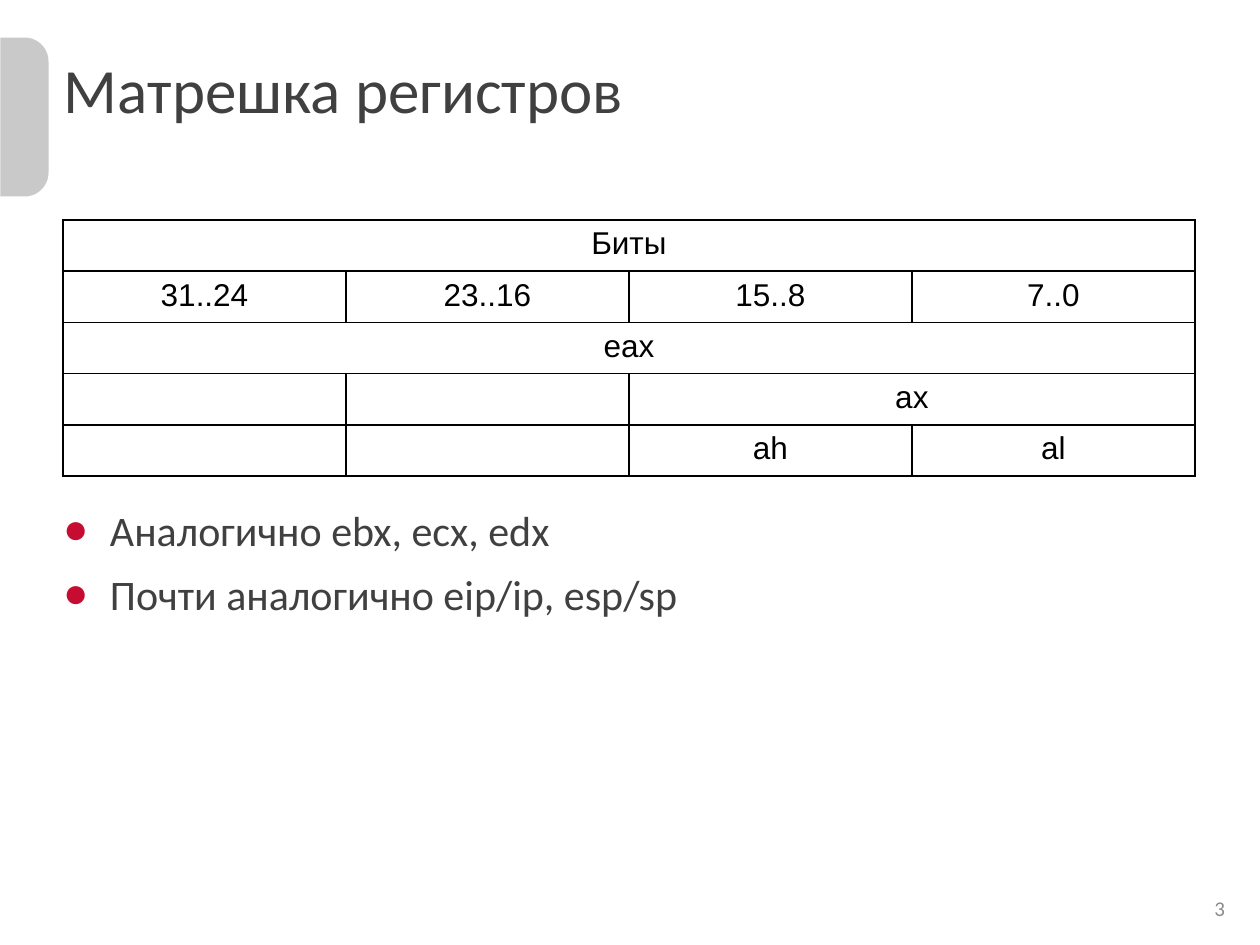
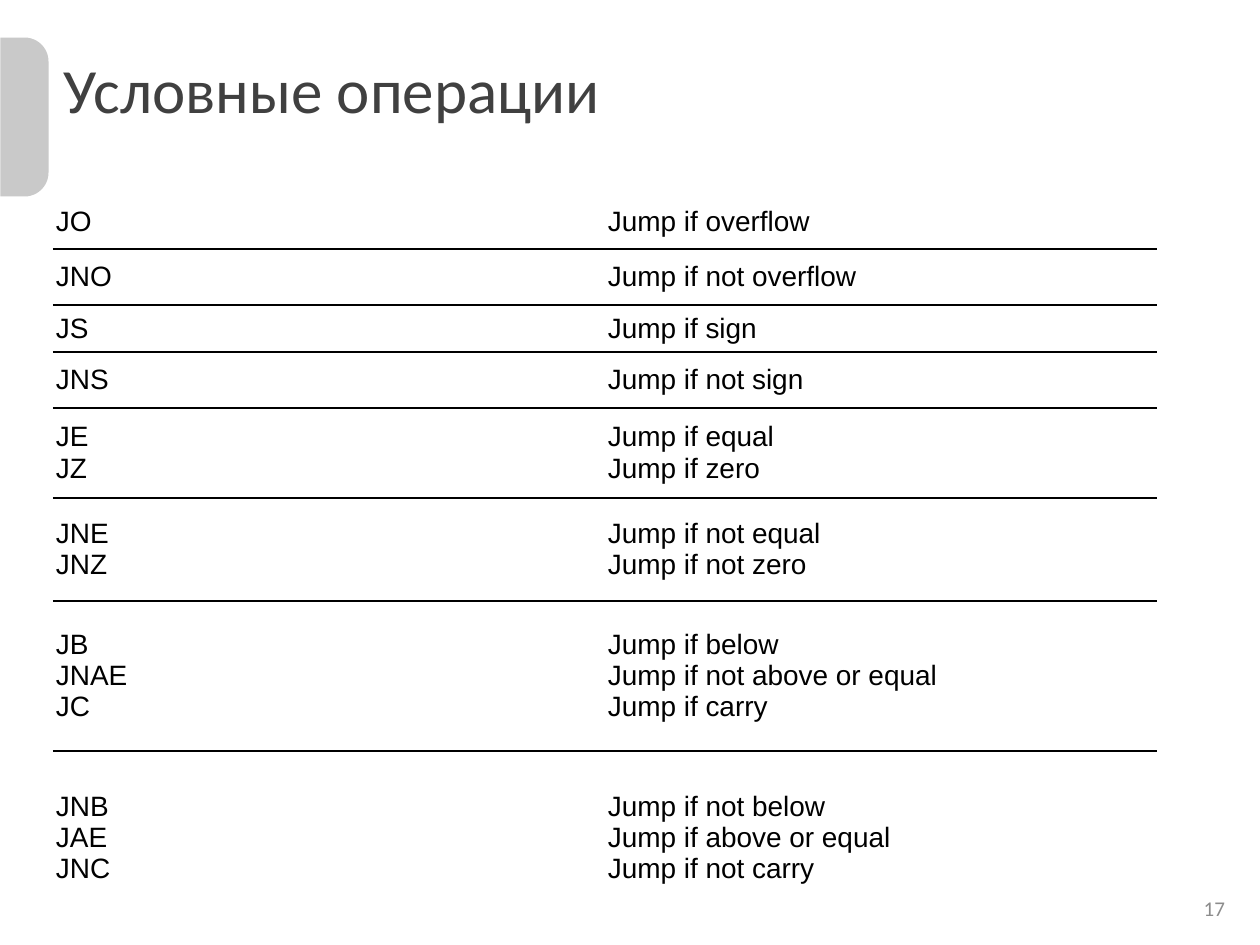
from lxml import etree
from pptx import Presentation
from pptx import util as u
from pptx.dml.color import RGBColor
from pptx.enum import shapes, text
from pptx.oxml import ns

BLACK = RGBColor(0x00, 0x00, 0x00)
DARK = RGBColor(0x40, 0x40, 0x40)
GRAY = RGBColor(0x8C, 0x8C, 0x8C)
BAND = RGBColor(0xC9, 0xC9, 0xC9)
RED = RGBColor(0xC6, 0x0C, 0x30)
SCALE = 914400 / 126
LEFT, CENTER, RIGHT = text.PP_ALIGN.LEFT, text.PP_ALIGN.CENTER, text.PP_ALIGN.RIGHT
TOP, MIDDLE = text.MSO_ANCHOR.TOP, text.MSO_ANCHOR.MIDDLE

BITS = [
    ["Биты", "", "", ""],
    ["31..24", "23..16", "15..8", "7..0"],
    ["eax", "", "", ""],
    ["", "", "ax", ""],
    ["", "", "ah", "al"],
]
SPANS = [(0, 0, 3), (2, 0, 3), (3, 2, 3)]
JUMPS = [
    (55, "JO", "Jump if overflow"),
    (56, "JNO", "Jump if not overflow"),
    (47, "JS", "Jump if sign"),
    (56, "JNS", "Jump if not sign"),
    (90, "JE\nJZ", "Jump if equal\nJump if zero"),
    (103, "JNE\nJNZ", "Jump if not equal\nJump if not zero"),
    (150, "JB\nJNAE\nJC",
     "Jump if below\nJump if not above or equal\nJump if carry"),
    (174, "JNB\nJAE\nJNC",
     "Jump if not below\nJump if above or equal\nJump if not carry"),
]


def px(n):
    return u.Emu(round(n * SCALE))


def place(shape, box):
    shape.left, shape.top, shape.width, shape.height = map(px, box)


def node(tag, root, **attrs):
    return etree.SubElement(root, ns.qn(tag), **attrs)


def write(frame, words, font="Calibri", size=18, color=DARK, align=LEFT,
          before=0, after=0):
    for i, line in enumerate(words.split("\n")):
        para = frame.paragraphs[0] if i == 0 else frame.add_paragraph()
        para.alignment = align
        para.space_before, para.space_after = u.Pt(before), u.Pt(after)
        run = para.add_run()
        run.text = line
        run.font.name, run.font.size = font, u.Pt(size)
        run.font.color.rgb = color


def fit(frame, side, edge, anchor=TOP):
    frame.margin_left = frame.margin_right = px(side)
    frame.margin_top = frame.margin_bottom = px(edge)
    frame.vertical_anchor = anchor
    frame.word_wrap = True
    frame.auto_size = text.MSO_AUTO_SIZE.NONE


def bullet(para, indent):
    props = para._p.get_or_add_pPr()
    props.set("marL", str(px(indent)))
    props.set("indent", str(px(-indent)))
    node("a:srgbClr", node("a:buClr", props), val=str(RED))
    node("a:buFont", props, typeface="Arial")
    node("a:buChar", props, char="●")


def border(cell, sides):
    props = cell._tc.get_or_add_tcPr()
    for i, side in enumerate("LRTB"):
        line = etree.Element(ns.qn("a:ln" + side), w=str(u.Pt(1)))
        if side in sides:
            node("a:srgbClr", node("a:solidFill", line), val=str(BLACK))
        else:
            node("a:noFill", line)
        props.insert(i, line)


def grid(slide, box, rows, cols):
    table = slide.shapes.add_table(len(rows), cols, *map(px, box)).table
    table.first_row = table.horz_banding = False
    for col in table.columns:
        col.width = px(box[2] / cols)
    for row, high in zip(table.rows, rows):
        row.height = px(high)
    for cell in table.iter_cells():
        cell.fill.background()
    return table


def base(deck, kind, title, number):
    slide = deck.slides.add_slide(deck.slide_layouts[kind])
    band = slide.shapes.add_shape(
        shapes.MSO_SHAPE.ROUND_2_SAME_RECTANGLE, *map(px, (-55, 93, 159, 48)))
    band.rotation = 90
    band.adjustments[0] = 0.5
    band.adjustments[1] = 0
    band.shadow.inherit = False
    band.fill.solid()
    band.fill.fore_color.rgb = BAND
    band.line.fill.background()
    head = slide.shapes.title
    place(head, (64, 50, 1022, 164))
    fit(head.text_frame, 0, 0)
    write(head.text_frame, title, size=36)
    foot = slide.shapes.add_textbox(*map(px, (987, 890, 238, 39)))
    fit(foot.text_frame, 0, 6)
    write(foot.text_frame, number, size=12, color=GRAY, align=RIGHT)
    return slide


def bits(slide, box):
    table = grid(slide, box, [box[3] / len(BITS)] * len(BITS), 4)
    for r, row in enumerate(BITS):
        for c, words in enumerate(row):
            cell = table.cell(r, c)
            border(cell, "LRTB")
            if words:
                write(cell.text_frame, words, font="Arial", color=BLACK,
                      align=CENTER)
    for row, first, last in SPANS:
        table.cell(row, first).merge(table.cell(row, last))


def notes(slide, box):
    body = slide.placeholders[1]
    place(body, box)
    fit(body.text_frame, 0, 6)
    write(body.text_frame,
          "Аналогично ebx, ecx, edx\nПочти аналогично eip/ip, esp/sp",
          size=24, before=5.8, after=2)
    for para in body.text_frame.paragraphs:
        bullet(para, 47)


def jumps(slide, box):
    table = grid(slide, box, [row[0] for row in JUMPS], 2)
    last = len(JUMPS) - 1
    for r, (_, *row) in enumerate(JUMPS):
        sides = ("T" if r else "") + ("B" if r < last else "")
        for c, words in enumerate(row):
            cell = table.cell(r, c)
            border(cell, sides)
            cell.margin_left = cell.margin_right = px(3)
            cell.margin_top = cell.margin_bottom = px(1)
            cell.vertical_anchor = MIDDLE
            write(cell.text_frame, words, font="Arial", size=16, color=BLACK)


def main():
    deck = Presentation()
    deck.slide_width, deck.slide_height = px(1260), px(945)
    slide = base(deck, 1, "Матрешка регистров", "3")
    bits(slide, (63, 220, 1132, 256))
    notes(slide, (63, 498, 1133, 392))
    slide = base(deck, 5, "Условные операции", "17")
    jumps(slide, (53, 194, 1104, 731))
    deck.save("out.pptx")


if __name__ == "__main__":
    main()
